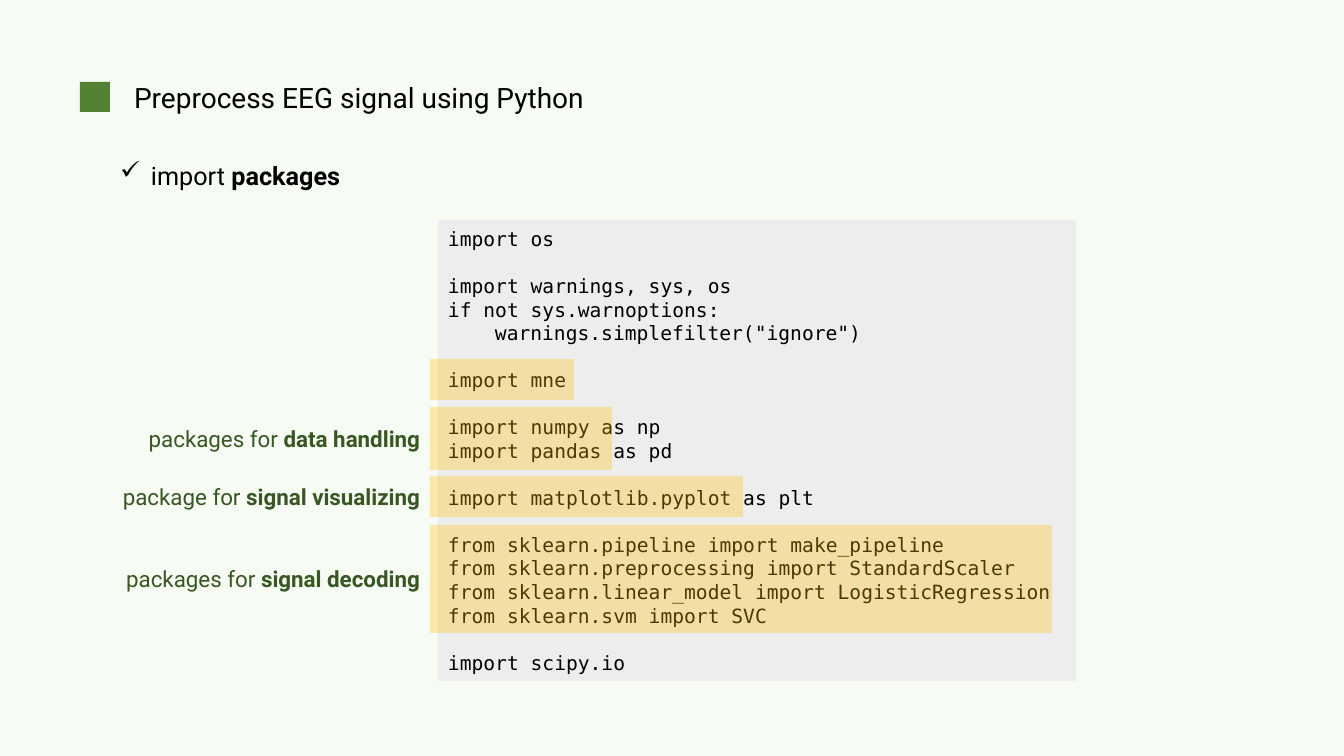
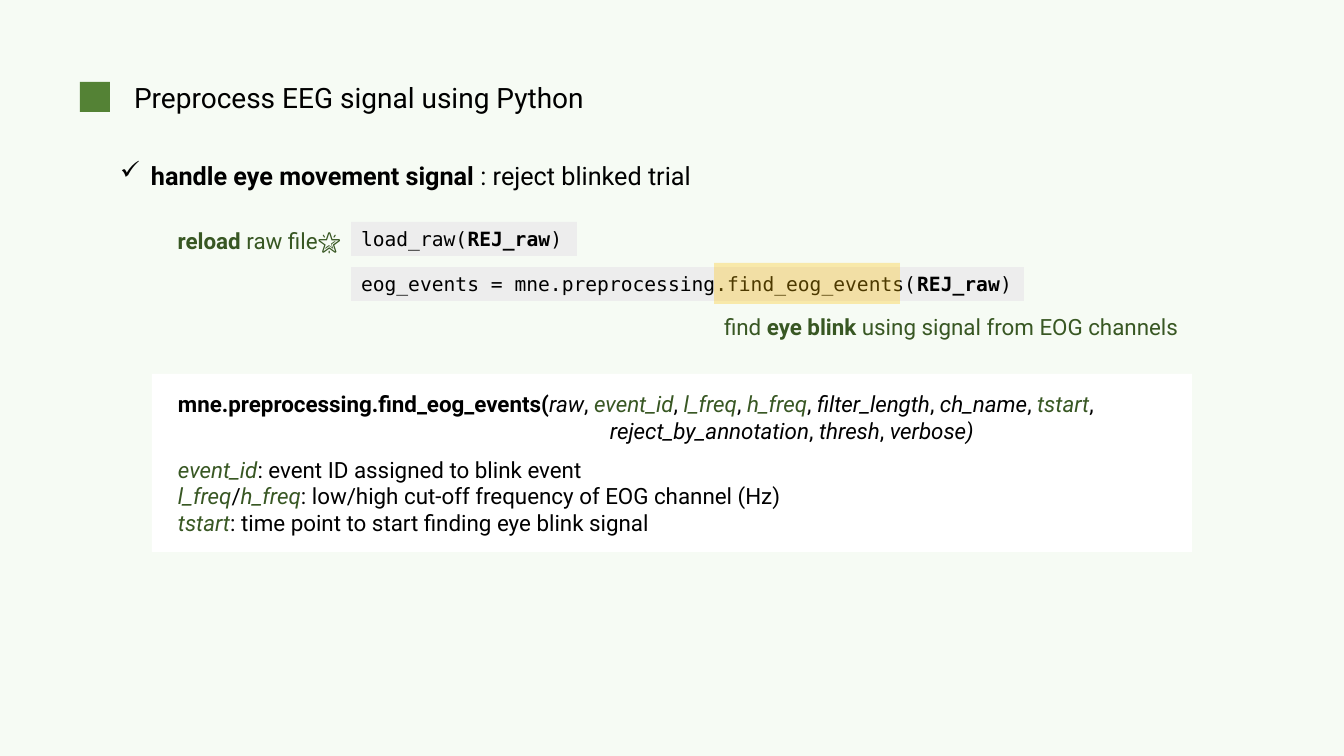
from collections import namedtuple

from lxml.etree import SubElement
from pptx import Presentation
from pptx.dml.color import RGBColor
from pptx.enum.shapes import MSO_SHAPE
from pptx.enum.text import MSO_ANCHOR, PP_ALIGN
from pptx.oxml.ns import qn
from pptx.util import Pt

COLORS = {
    "background": "F6FBF4",
    "marker": "548235",
    "note": "385723",
    "text": "000000",
    "code": "EDEDED",
    "highlight": "FFC000",
    "panel": "FFFFFF",
}
SANS, MONO = "Roboto", "DejaVu Sans Mono"
TITLE = "Preprocess EEG signal using Python"
CODE_PITCH = Pt(16.8)
INSET = 10

Box = namedtuple("Box", "left top width height")


def px(length):
    return round(length * 914400 / 100.8)


def rgb(name):
    return RGBColor.from_string(COLORS[name])


def add_block(slide, box, color, opacity=100):
    block = slide.shapes.add_shape(MSO_SHAPE.RECTANGLE, *map(px, box))
    block.shadow.inherit = False
    block.fill.solid()
    block.fill.fore_color.rgb = rgb(color)
    block.line.fill.background()
    if opacity < 100:
        tint = block.fill._xPr.find(qn("a:solidFill"))[0]
        SubElement(tint, qn("a:alpha"), val=str(opacity * 1000))
    return block


def write(holder, lines, size, font=SANS, color="text", align=PP_ALIGN.LEFT, inset=INSET):
    frame = holder.text_frame
    frame.word_wrap = True
    frame.vertical_anchor = MSO_ANCHOR.MIDDLE
    frame.margin_top = frame.margin_bottom = 0
    to_right = align == PP_ALIGN.RIGHT
    frame.margin_left = px(0 if to_right else inset)
    frame.margin_right = px(inset if to_right else 0)
    frame.text = "\n".join([""] * len(lines))
    for paragraph, pieces in zip(frame.paragraphs, lines):
        paragraph.alignment = align
        for words, style in pieces:
            run = paragraph.add_run()
            run.text = words
            run.font.name = font
            run.font.size = Pt(size)
            run.font.bold = "b" in style
            run.font.italic = "i" in style
            run.font.color.rgb = rgb("note" if "g" in style else color)
    return frame.paragraphs


def add_text(slide, box, lines, size, **options):
    return write(slide.shapes.add_textbox(*map(px, box)), lines, size, **options)


def indent(paragraph, left, first=0):
    properties = paragraph._p.get_or_add_pPr()
    properties.set("marL", str(px(left)))
    properties.set("indent", str(px(first)))
    return properties


def add_header(slide, box):
    marker = 30
    add_block(slide, Box(box.left, box.top + 7, marker, marker), "marker")
    title_box = Box(box.left + marker, box.top, box.width - marker, box.height)
    add_text(slide, title_box, [[(TITLE, "")]], 20, inset=24)


def add_topic(slide, box, pieces):
    topic = add_text(slide, box, [pieces], 18)[0]
    SubElement(indent(topic, 31, -31), qn("a:buChar"), char="✓")


def add_note(slide, box, pieces, align=PP_ALIGN.LEFT):
    add_text(slide, box, [pieces], 16, color="note", align=align)


def add_code_line(slide, box, pieces):
    write(add_block(slide, box, "code"), [pieces], 14, font=MONO)


def add_highlight(slide, box):
    add_block(slide, box, "highlight", 30)


def add_listing(slide, box, groups):
    rows = [row for group in groups for row in group]
    lines = [[(row.lstrip(), "")] for row in rows]
    paragraphs = write(add_block(slide, box, "code"), lines, 14, font=MONO)
    starts = {sum(map(len, groups[:n])) for n in range(1, len(groups))}
    for number, (paragraph, row) in enumerate(zip(paragraphs, rows)):
        paragraph.line_spacing = CODE_PITCH
        if number in starts:
            paragraph.space_before = CODE_PITCH
        if row.startswith(" "):
            indent(paragraph, 47)


def add_package_marks(slide, box, marks):
    for top, width, height, pieces in marks:
        mark = Box(box.left - 8, box.top + top, width, height)
        add_highlight(slide, mark)
        if pieces:
            note = Box(mark.left - 320, mark.top, 320, height)
            add_note(slide, note, pieces, PP_ALIGN.RIGHT)


def add_reference(slide, box, signature, meanings):
    add_block(slide, box, "panel")
    left, width = box.left + 16, box.width - 16
    call = add_text(slide, Box(left, box.top + 11, width, 65), signature, 16)
    indent(call[1], 432)
    add_text(slide, Box(left, box.top + 76, width, 92), meanings, 16)


def arguments(names, explained, ending):
    pieces = []
    for name in names:
        pieces += [(name, "ig" if name in explained else "i"), (", ", "")]
    return pieces[:-1] + [ending]


def start_slide(deck, topic):
    slide = deck.slides.add_slide(deck.slide_layouts[6])
    add_header(slide, Box(80, 75, 560, 44))
    add_topic(slide, Box(110, 155, 700, 40), topic)
    return slide


def build_packages(deck):
    slide = start_slide(deck, [("import ", ""), ("packages", "b")])
    listing = Box(438, 220, 638, 461)
    add_listing(slide, listing, [
        ["import os"],
        ["import warnings, sys, os",
         "if not sys.warnoptions:",
         "    warnings.simplefilter(\"ignore\")"],
        ["import mne"],
        ["import numpy as np", "import pandas as pd"],
        ["import matplotlib.pyplot as plt"],
        ["from sklearn.pipeline import make_pipeline",
         "from sklearn.preprocessing import StandardScaler",
         "from sklearn.linear_model import LogisticRegression",
         "from sklearn.svm import SVC"],
        ["import scipy.io"],
    ])
    add_package_marks(slide, listing, [
        (139, 144, 41, []),
        (187, 182, 63, [("packages for ", ""), ("data handling", "b")]),
        (256, 313, 41, [("package for ", ""), ("signal visualizing", "b")]),
        (305, 622, 108, [("packages for ", ""), ("signal decoding", "b")]),
    ])


def build_eye_movement(deck):
    slide = start_slide(deck, [("handle eye movement signal", "b"), (" : reject blinked trial", "")])
    raw_file = [("REJ_raw", "b"), (")", "")]
    add_code_line(slide, Box(351, 222, 226, 34), [("load_raw(", "")] + raw_file)
    add_code_line(slide, Box(351, 267, 673, 34),
                  [("eog_events = mne.preprocessing.find_eog_events(", "")] + raw_file)
    add_note(slide, Box(140, 222, 211, 37), [("reload", "b"), (" raw file🌟", "")], PP_ALIGN.RIGHT)
    add_note(slide, Box(714, 308, 500, 37),
             [("find ", ""), ("eye blink ", "b"), ("using signal from EOG channels", "")])
    add_highlight(slide, Box(714, 263, 186, 41))

    explained = ["event_id", "l_freq", "h_freq", "tstart"]
    opening = ["raw", "event_id", "l_freq", "h_freq", "filter_length", "ch_name", "tstart"]
    closing = ["reject_by_annotation", "thresh", "verbose"]
    add_reference(
        slide, Box(152, 374, 1040, 178),
        [[("mne.preprocessing.find_eog_events(", "b")] + arguments(opening, explained, (",", "")),
         arguments(closing, explained, (")", "i"))],
        [[("event_id", "ig"), (": event ID assigned to blink event", "")],
         [("l_freq", "ig"), ("/", ""), ("h_freq", "ig"),
          (": low/high cut-off frequency of EOG channel (Hz)", "")],
         [("tstart", "ig"), (": time point to start finding eye blink signal", "")]],
    )


def main():
    deck = Presentation()
    deck.slide_width, deck.slide_height = px(1344), px(756)
    backdrop = deck.slide_master.background.fill
    backdrop.solid()
    backdrop.fore_color.rgb = rgb("background")
    build_packages(deck)
    build_eye_movement(deck)
    deck.save("out.pptx")


if __name__ == "__main__":
    main()
